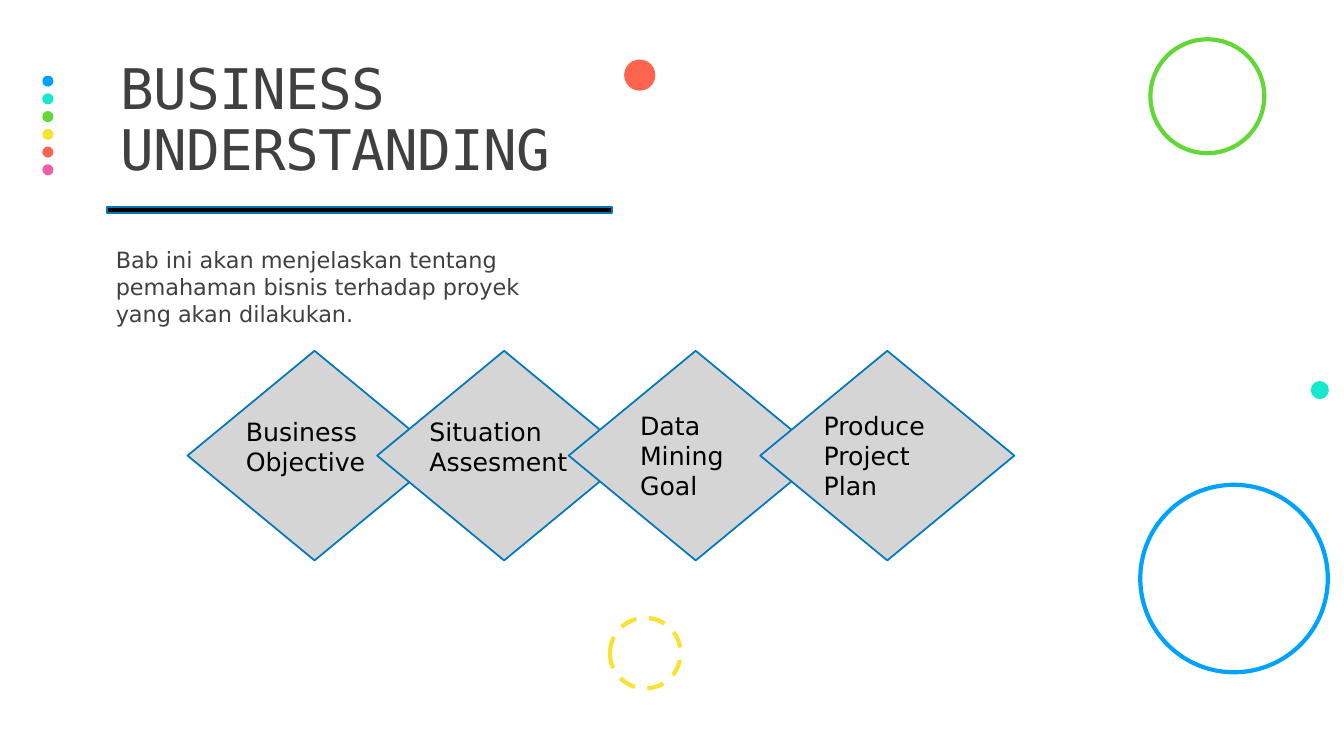
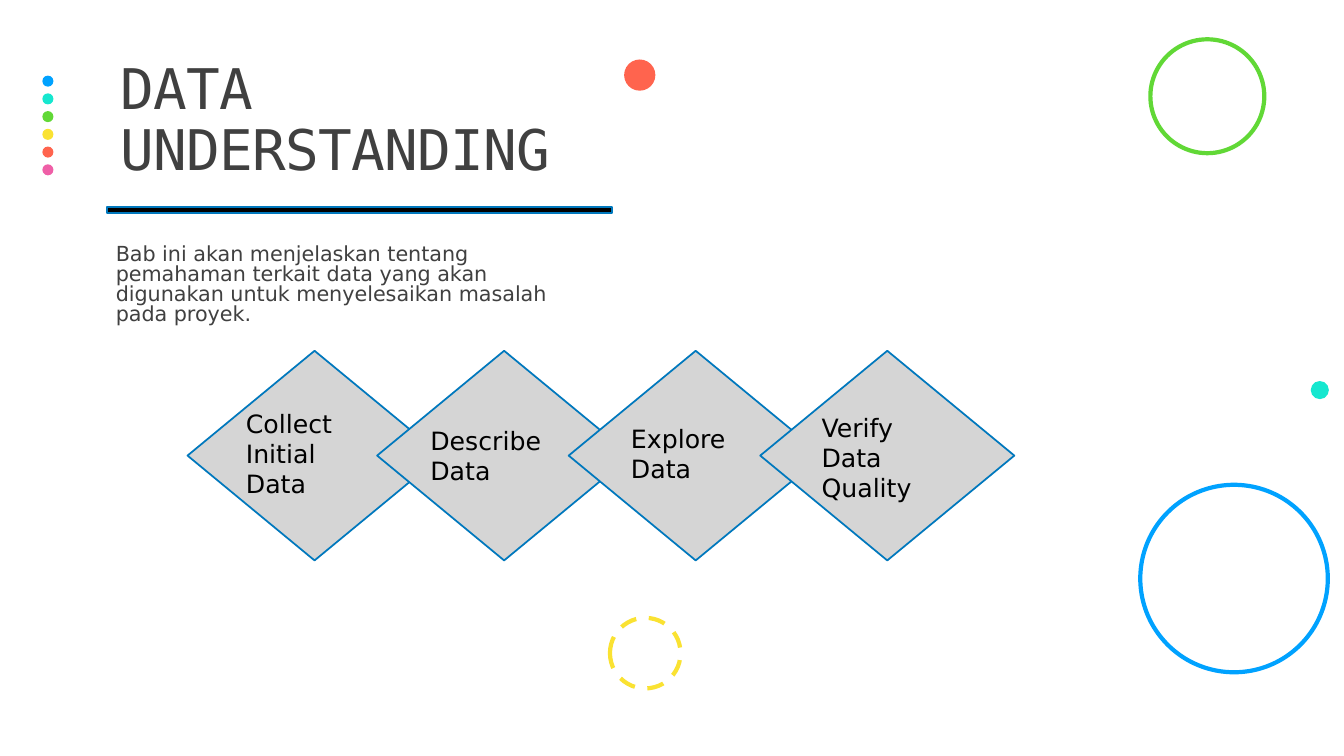
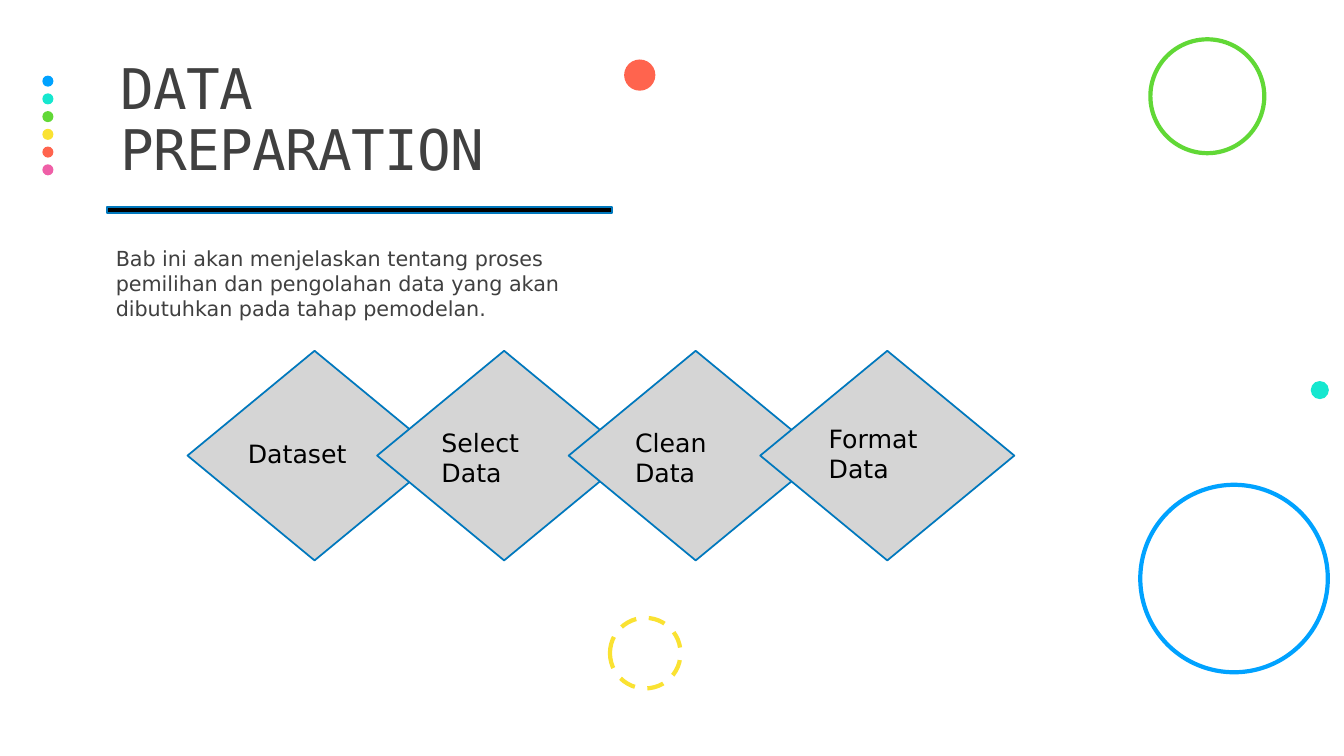
from dataclasses import dataclass

from pptx import Presentation
from pptx.dml.color import RGBColor
from pptx.enum import dml, shapes, text
from pptx.util import Inches, Pt


@dataclass(frozen=True)
class Theme:
    body: str = "DejaVu Sans"
    mono: str = "DejaVu Sans Mono"
    ink: str = "404040"
    black: str = "000000"
    edge: str = "0078BD"
    gray: str = "D5D5D5"
    blue: str = "00A2FF"
    teal: str = "16E7CF"
    green: str = "61D836"
    yellow: str = "FAE232"
    red: str = "FF644E"
    pink: str = "EF5FA7"
    title: float = 40
    label: float = 18
    ring: float = 3
    thin: float = 1.25


T = Theme()
KIND = shapes.MSO_SHAPE

# Each label: lines, left, top, width
SLIDES = [
    dict(
        title=["BUSINESS UNDERSTANDING"],
        intro="Bab ini akan menjelaskan tentang pemahaman bisnis terhadap "
              "proyek yang akan dilakukan.",
        size=16, space=None,
        steps=[
            (["Business", "Objective"], 2.34, 4.08, 1.4),
            (["Situation", "Assesment"], 4.16, 4.08, 1.57),
            (["Data", "Mining", "Goal"], 6.25, 4.02, 1.03),
            (["Produce", "Project", "Plan"], 8.07, 4.02, 1.21),
        ]),
    dict(
        title=["DATA UNDERSTANDING"],
        intro="Bab ini akan menjelaskan tentang pemahaman terkait data yang "
              "akan digunakan untuk menyelesaikan masalah pada proyek.",
        size=14.8, space=0.8,
        steps=[
            (["Collect", "Initial", "Data"], 2.34, 4, 1.15),
            (["Describe", "Data"], 4.17, 4.17, 1.3),
            (["Explore", "Data"], 6.16, 4.15, 1.15),
            (["Verify", "Data", "Quality"], 8.05, 4.04, 1.1),
        ]),
    dict(
        title=["DATA ", "PREPARATION"],
        intro="Bab ini akan menjelaskan tentang proses pemilihan dan "
              "pengolahan data yang akan dibutuhkan pada tahap pemodelan.",
        size=14.8, space=None,
        steps=[
            (["Dataset"], 2.36, 4.3, 1.18),
            (["Select", "Data"], 4.28, 4.19, 0.98),
            (["Clean", "Data"], 6.2, 4.19, 1),
            (["Format", "Data"], 8.12, 4.15, 1.19),
        ]),
]

# Left, top, diameter, colour, dash
RINGS = [
    (11.41, 0.39, 1.13, T.green, None),
    (11.31, 4.81, 1.86, T.blue, None),
    (6.05, 6.13, 0.7, T.yellow, dml.MSO_LINE.DASH),
]
DISCS = [(6.19, 0.59, 0.31, T.red), (13, 3.78, 0.18, T.teal)]
DOTS = [T.blue, T.teal, T.green, T.yellow, T.red, T.pink]
DIAMONDS = [1.86, 3.74, 5.64, 7.54]


def draw(slide, kind, box, fill=None, line=None, width=T.thin, dash=None):
    shape = slide.shapes.add_shape(kind, *map(Inches, box))
    shape.shadow.inherit = False
    if fill:
        shape.fill.solid()
        shape.fill.fore_color.rgb = RGBColor.from_string(fill)
    else:
        shape.fill.background()
    if line:
        shape.line.color.rgb = RGBColor.from_string(line)
        shape.line.width = Pt(width)
        if dash:
            shape.line.dash_style = dash
    else:
        shape.line.fill.background()


def frame(slide, box, left=0.1, right=0.1, wrap=True):
    """Add a text box and return its text frame."""
    tf = slide.shapes.add_textbox(*map(Inches, box)).text_frame
    tf.word_wrap = wrap
    tf.margin_left, tf.margin_right = Inches(left), Inches(right)
    return tf


def write(para, words, size, color, font=T.body):
    run = para.add_run()
    run.text = words
    run.font.size = Pt(size)
    run.font.name = font
    run.font.color.rgb = RGBColor.from_string(color)
    return run


def decor(slide):
    for x, y, d, color, dash in RINGS:
        draw(slide, KIND.OVAL, (x, y, d, d), line=color, width=T.ring,
             dash=dash)
    for x, y, d, color in DISCS:
        draw(slide, KIND.OVAL, (x, y, d, d), color)
    for i, color in enumerate(DOTS):
        draw(slide, KIND.OVAL, (0.42, 0.75 + i * 0.88 / 5, 0.11, 0.11), color)


def head(slide, lines):
    tf = frame(slide, (1.2, 0.46, 4.53, 1.5), 0, 0)
    tf.vertical_anchor = text.MSO_ANCHOR.MIDDLE
    para = tf.paragraphs[0]
    para.line_spacing = 0.9
    for i, line in enumerate(lines):
        if i:
            para.add_line_break()
        run = write(para, line, T.title, T.ink, T.mono)
        run.font._element.set("spc", "-50")
    draw(slide, KIND.MATH_MINUS, (0.16, 1.96, 6.81, 0.25), T.black, T.edge)


def intro(slide, words, size, space):
    para = frame(slide, (1.05, 2.39, 4.53, 0.92), 0.1, 0).paragraphs[0]
    para.space_before, para.space_after = Pt(12), Pt(2)
    if space:
        para.line_spacing = space
    write(para, words, size, T.ink)


def flow(slide, steps):
    for x in DIAMONDS:
        draw(slide, KIND.DIAMOND, (x, 3.48, 2.52, 2.08), T.gray, T.edge)
    for lines, x, y, w in steps:
        tf = frame(slide, (x, y, w, 0.1 + 0.3 * len(lines)), wrap=False)
        tf.auto_size = text.MSO_AUTO_SIZE.SHAPE_TO_FIT_TEXT
        for i, line in enumerate(lines):
            para = tf.add_paragraph() if i else tf.paragraphs[0]
            write(para, line, T.label, T.black)


def main():
    deck = Presentation()
    deck.slide_width, deck.slide_height = Inches(13.33), Inches(7.5)
    for page in SLIDES:
        slide = deck.slides.add_slide(deck.slide_layouts[6])
        decor(slide)
        intro(slide, page["intro"], page["size"], page["space"])
        head(slide, page["title"])
        flow(slide, page["steps"])
    deck.save("out.pptx")


if __name__ == "__main__":
    main()
